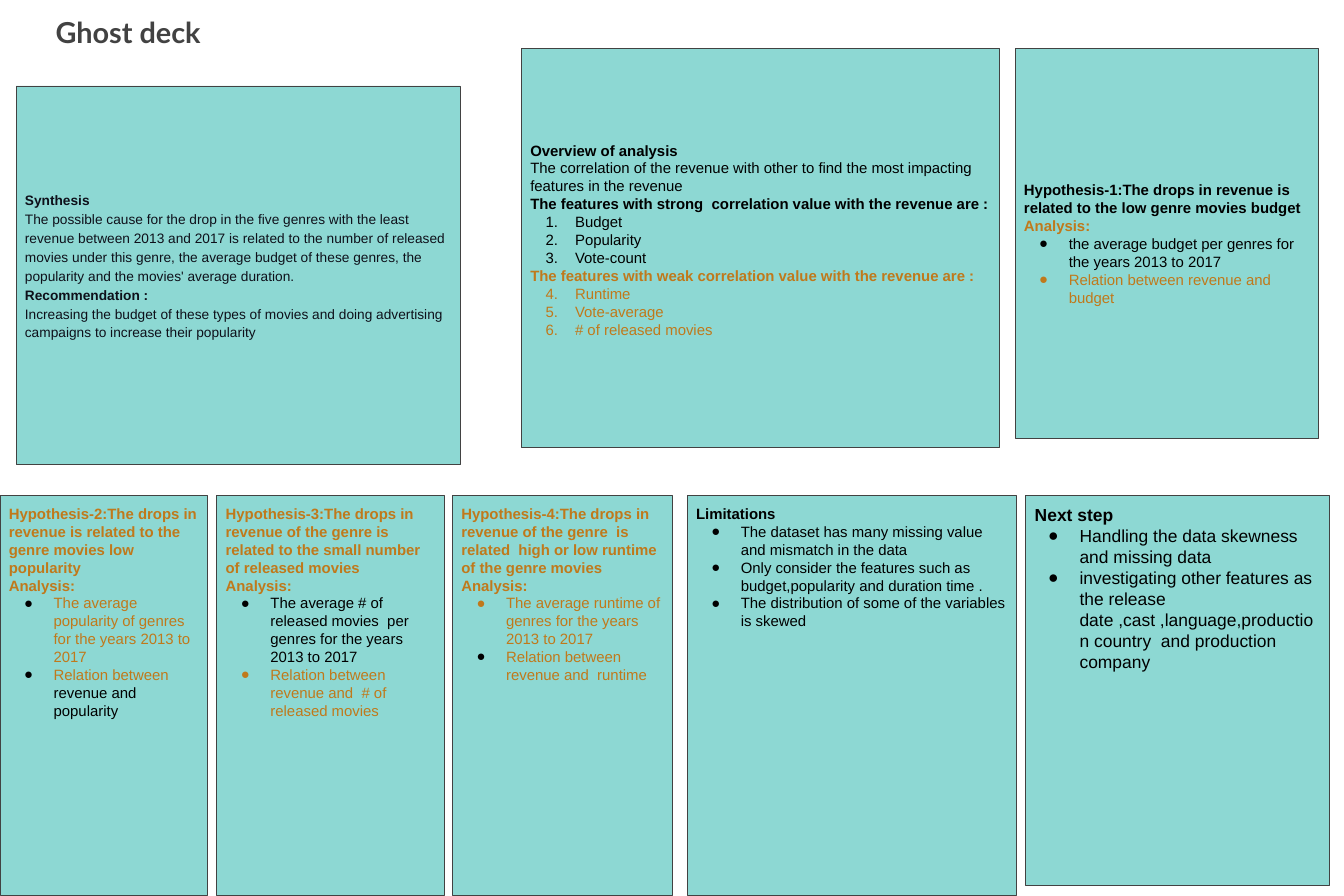
from lxml.etree import SubElement
from pptx import Presentation
from pptx.dml.color import RGBColor
from pptx.enum.shapes import MSO_SHAPE
from pptx.enum.text import MSO_ANCHOR, PP_ALIGN
from pptx.oxml.ns import qn
from pptx.util import Inches, Pt

TEAL = RGBColor(0x8D, 0xD8, 0xD3)
GREY = RGBColor(0x42, 0x42, 0x42)
BLACK = RGBColor(0x00, 0x00, 0x00)
INK = RGBColor(0x0E, 0x10, 0x1A)
AMBER = RGBColor(0xC0, 0x79, 0x1B)

deck = Presentation()
deck.slide_width, deck.slide_height = Inches(15), Inches(10)
page = deck.slides.add_slide(deck.slide_layouts[6])

# Grid of 150 columns by 100 rows
COLUMN = deck.slide_width / 150
ROW = deck.slide_height / 100


def add_span(para, text, size=12, bold=False, color=BLACK, font="Arial"):
    span = para.add_run()
    span.text = text
    span.font.name = font
    span.font.size = Pt(size)
    span.font.bold = bold
    span.font.color.rgb = color


def add_marker(para, kind, color, hanging):
    properties = para._p.get_or_add_pPr()
    properties.set("marL", str(Inches(0.5)))
    properties.set("indent", str(-Inches(hanging)))
    fill = SubElement(SubElement(properties, qn("a:buClr")), qn("a:srgbClr"))
    fill.set("val", str(color))
    SubElement(properties, qn("a:buFont")).set("typeface", "Arial")
    if kind == "number":
        SubElement(properties, qn("a:buAutoNum")).set("type", "arabicPeriod")
    else:
        SubElement(properties, qn("a:buChar")).set("char", "●")


# Title
title = page.shapes.add_textbox(round(4.6 * COLUMN), 0, round(37.8 * COLUMN), round(6.1 * ROW))
title.text_frame.word_wrap = True
title.text_frame.margin_left = title.text_frame.margin_top = Inches(0.16)
add_span(title.text_frame.paragraphs[0], "Ghost deck", size=23.2, bold=True, color=GREY, font="Lato")

# Paragraphs of each card: kind, marker colour, then (text, colour) spans
synthesis = [
    ("head", None, ("Synthesis", INK)),
    ("body", None, ("The possible cause for the drop in the five genres with the least revenue between "
                    "2013 and 2017 is related to the number of released movies under this genre, the "
                    "average budget of these genres, the popularity and the movies' average duration.", INK)),
    ("head", None, ("Recommendation :", INK)),
    ("body", None, ("Increasing the budget of these types of movies and doing advertising campaigns "
                    "to increase their popularity", INK)),
]
overview = [
    ("head", None, ("Overview of analysis", BLACK)),
    ("body", None, ("The correlation of the revenue with other to find the most impacting features "
                    "in the revenue", BLACK)),
    ("head", None, ("The features with strong  correlation value with the revenue are :", BLACK)),
    *[("number", BLACK, (name, BLACK)) for name in ("Budget", "Popularity", "Vote-count")],
    ("head", None, ("The features with weak correlation value with the revenue are :", AMBER)),
    *[("number", AMBER, (name, AMBER)) for name in ("Runtime", "Vote-average", "# of released movies")],
]
analysis = ("head", None, ("Analysis:", AMBER))
budget = [
    ("head", None, ("Hypothesis-1:The drops in revenue is related to the low genre movies budget", BLACK)),
    analysis,
    ("bullet", BLACK, ("the average budget per genres for the years 2013 to 2017", BLACK)),
    ("bullet", AMBER, ("Relation between revenue and  budget", AMBER)),
]
popularity = [
    ("head", None, ("Hypothesis-2:The drops in revenue is related to the genre movies low popularity", AMBER)),
    analysis,
    ("bullet", BLACK, ("The average popularity of genres for the years 2013 to 2017", AMBER)),
    ("bullet", BLACK, ("Relation between ", AMBER), ("revenue and  popularity", BLACK)),
]
released = [
    ("head", None, ("Hypothesis-3:The drops in revenue of the genre is related to the small number "
                    "of released movies", AMBER)),
    analysis,
    ("bullet", BLACK, ("The average # of released movies  per genres for the years 2013 to 2017", BLACK)),
    ("bullet", AMBER, ("Relation between revenue and  # of released movies", AMBER)),
]
runtime = [
    ("head", None, ("Hypothesis-4:The drops in revenue of the genre  is related  high or low runtime "
                    "of the genre movies", AMBER)),
    analysis,
    ("bullet", AMBER, ("The average runtime of genres for the years 2013 to 2017", AMBER)),
    ("bullet", BLACK, ("Relation between revenue and  runtime", AMBER)),
]
limitations = [
    ("head", None, ("Limitations", BLACK)),
    ("bullet", BLACK, ("The dataset has many missing value and mismatch in the data", BLACK)),
    ("bullet", BLACK, ("Only consider the features such as budget,popularity and duration time .", BLACK)),
    ("bullet", BLACK, ("The distribution of some of the variables is skewed", BLACK)),
]
next_step = [
    ("head", None, ("Next step", BLACK)),
    ("bullet", BLACK, ("Handling the data skewness and missing data", BLACK)),
    ("bullet", BLACK, ("investigating other features as the release date ,cast ,language,production "
                       "country  and production company", BLACK)),
]

# Cards: left, top, width, height in grid units, anchor, text size, line spacing, bottom margin
MIDDLE, TOP = MSO_ANCHOR.MIDDLE, MSO_ANCHOR.TOP
cards = [
    (1.8, 9.6, 49.6, 42.3, MIDDLE, 11, 1.15, 0.33, synthesis),
    (58.2, 5.4, 53.4, 44.6, MIDDLE, 12, 1, 0.29, overview),
    (113.3, 5.4, 33.9, 43.5, MIDDLE, 12, 1, 0.1, budget),
    (0, 55.3, 23.2, 44.6, TOP, 12, 1, 0.1, popularity),
    (24.2, 55.3, 25.4, 44.6, TOP, 12, 1, 0.1, released),
    (50.5, 55.3, 24.5, 44.6, TOP, 12, 1, 0.1, runtime),
    (76.7, 55.3, 36.7, 44.6, TOP, 12, 1, 0.1, limitations),
    (114.5, 55.3, 33.9, 43.5, TOP, 14, 1, 0.1, next_step),
]
for left, top, width, height, anchor, size, spacing, bottom, paragraphs in cards:
    box = page.shapes.add_shape(MSO_SHAPE.RECTANGLE, round(left * COLUMN), round(top * ROW),
                                round(width * COLUMN), round(height * ROW))
    box.shadow.inherit = False
    box.fill.solid()
    box.fill.fore_color.rgb = TEAL
    box.line.color.rgb = GREY
    box.line.width = Pt(0.75)
    frame = box.text_frame
    frame.word_wrap = True
    frame.vertical_anchor = anchor
    frame.margin_left = frame.margin_right = frame.margin_top = Inches(0.1)
    frame.margin_bottom = Inches(bottom)
    for index, (kind, marker, *spans) in enumerate(paragraphs):
        para = frame.add_paragraph() if index else frame.paragraphs[0]
        para.alignment = PP_ALIGN.LEFT
        para.line_spacing = float(spacing)
        if marker is not None:
            add_marker(para, kind, marker, hanging=0.35 if size == 14 else 0.33)
        for text, color in spans:
            add_span(para, text, size=size, bold=kind == "head", color=color)

deck.save("out.pptx")
